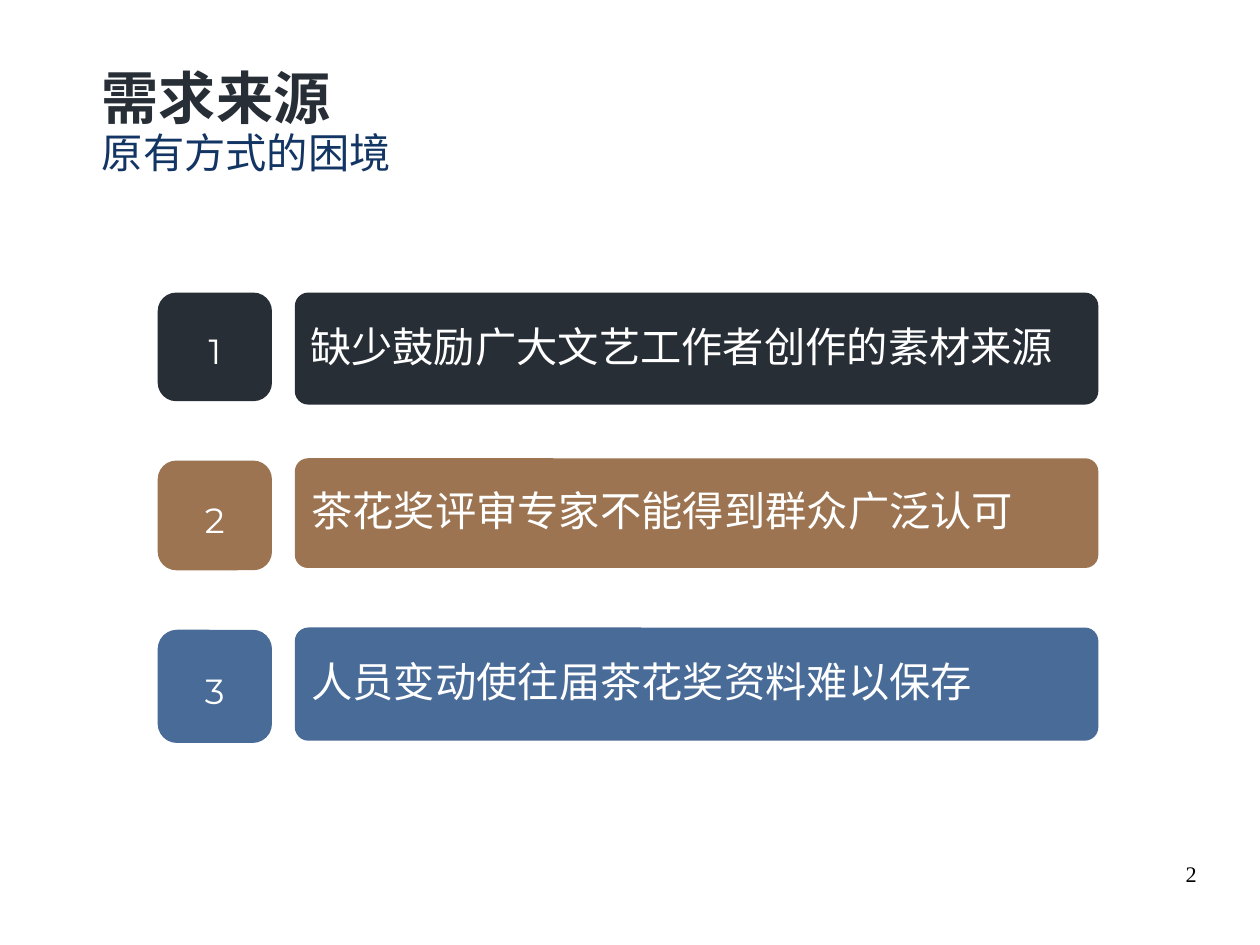
from lxml.etree import SubElement
from pptx import Presentation
from pptx.dml.color import RGBColor
from pptx.enum.shapes import MSO_SHAPE
from pptx.enum.text import MSO_ANCHOR, MSO_AUTO_SIZE, PP_ALIGN
from pptx.oxml.ns import qn
from pptx.util import Inches, Pt

CM_PER_INCH = 2.54
CJK_FONT = "Noto Sans CJK SC"
ROWS = [
    ("缺少鼓励广大文艺工作者创作的素材来源", "272E36", "Arial", 0.1, (2.56, 0.98), (2.56, 0.95)),
    ("茶花奖评审专家不能得到群众广泛认可", "9C7451", "Arial", 0.11, (4.01, 0.96), (4.03, 0.96)),
    ("人员变动使往届茶花奖资料难以保存", "496B98", CJK_FONT, 0.11, (5.49, 0.99), (5.51, 0.99)),
]


def rgb(value):
    """Turn a hex string into a colour."""
    return RGBColor.from_string(value)


def write(p, text, font="Arial", size=26, color="FFFFFF", bold=False,
          align=PP_ALIGN.LEFT, spacing=0.93):
    """Add one formatted run to a paragraph."""
    p.alignment = align
    p.line_spacing = spacing
    p.space_before = Pt(0)
    r = p.add_run()
    r.text = text
    r.font.size = Pt(size)
    r.font.bold = bold
    r.font.color.rgb = rgb(color)
    r.font.name = font
    SubElement(r.font._element, qn("a:ea"), typeface=CJK_FONT)


class Deck:
    """Hold the style and the current slide."""

    def __init__(self, prs):
        """Add a title-only slide."""
        self.s = prs.slides.add_slide(prs.slide_layouts[5])

    def frame(self, sp, anchor, inset_x=0.1, inset_y=0.05):
        """Prepare the text frame of a shape."""
        tf = sp.text_frame
        tf.word_wrap = True
        tf.auto_size = MSO_AUTO_SIZE.NONE
        tf.vertical_anchor = anchor
        tf.margin_left = tf.margin_right = Inches(inset_x)
        tf.margin_top = tf.margin_bottom = Inches(inset_y)
        return tf

    def title(self, text, subtitle):
        """Fill the title placeholder with a heading and a subheading."""
        sp = self.s.shapes.title
        sp.left, sp.top = Inches(0.79), Inches(0.39)
        sp.width, sp.height = Inches(9.57), Inches(1.21)
        tf = self.frame(sp, MSO_ANCHOR.TOP)
        write(tf.paragraphs[0], text, font="Montserrat", size=36,
              color="272E36", bold=True, spacing=1.18)
        write(tf.add_paragraph(), subtitle, color="133563")

    def box(self, left, top, width, height, fill, radius, inset, text, **style):
        """Add a filled rounded rectangle with text."""
        sp = self.s.shapes.add_shape(MSO_SHAPE.ROUNDED_RECTANGLE, Inches(left),
                                     Inches(top), Inches(width), Inches(height))
        sp.adjustments[0] = radius
        sp.shadow.inherit = False
        sp.fill.solid()
        sp.fill.fore_color.rgb = rgb(fill)
        sp.line.fill.background()
        tf = self.frame(sp, MSO_ANCHOR.MIDDLE, inset)
        write(tf.paragraphs[0], text, **style)

    def page_number(self, text):
        """Add the page number at the bottom right."""
        sp = self.s.shapes.add_textbox(Inches(7.9), Inches(7.54),
                                       Inches(2.57), Inches(0.57))
        tf = self.frame(sp, MSO_ANCHOR.TOP, 0, 0)
        write(tf.paragraphs[0], text, font="Times New Roman", size=14,
              color="000000", align=PP_ALIGN.RIGHT, spacing=0.95)


def main():
    """Build and save the slide."""
    prs = Presentation()
    prs.slide_width = Inches(28 / CM_PER_INCH)
    prs.slide_height = Inches(21 / CM_PER_INCH)
    deck = Deck(prs)
    deck.title("需求来源", "原有方式的困境")
    for number, (text, fill, font, inset, bar, badge) in enumerate(ROWS, 1):
        deck.box(2.58, bar[0], 7.03, bar[1], fill, 0.12, inset, text, font=font)
        deck.box(1.38, badge[0], 1, badge[1], fill, 0.17, inset, str(number),
                 font="Montserrat", size=22, align=PP_ALIGN.CENTER, spacing=1.18)
    deck.page_number("2")
    prs.save("out.pptx")


if __name__ == "__main__":
    main()
